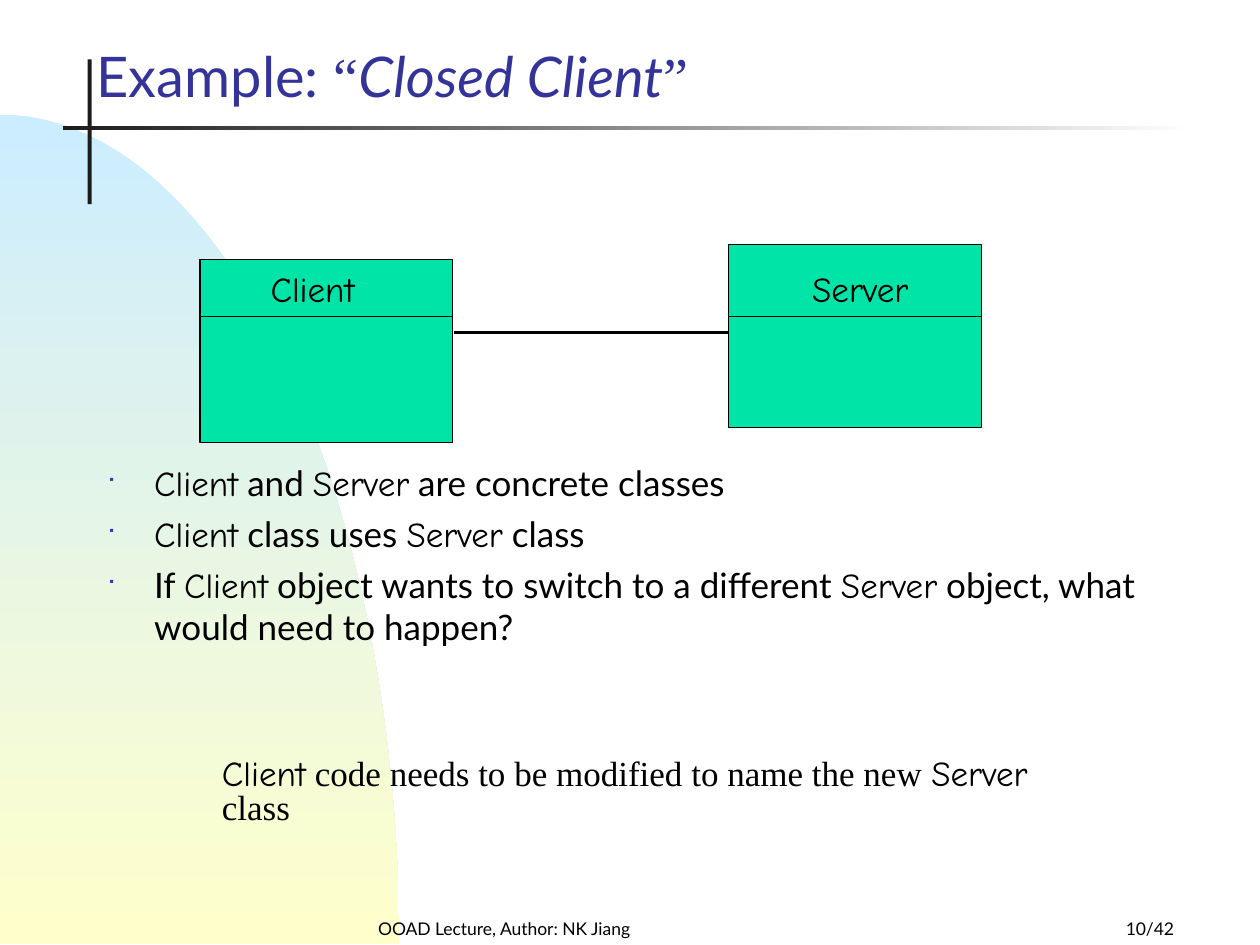
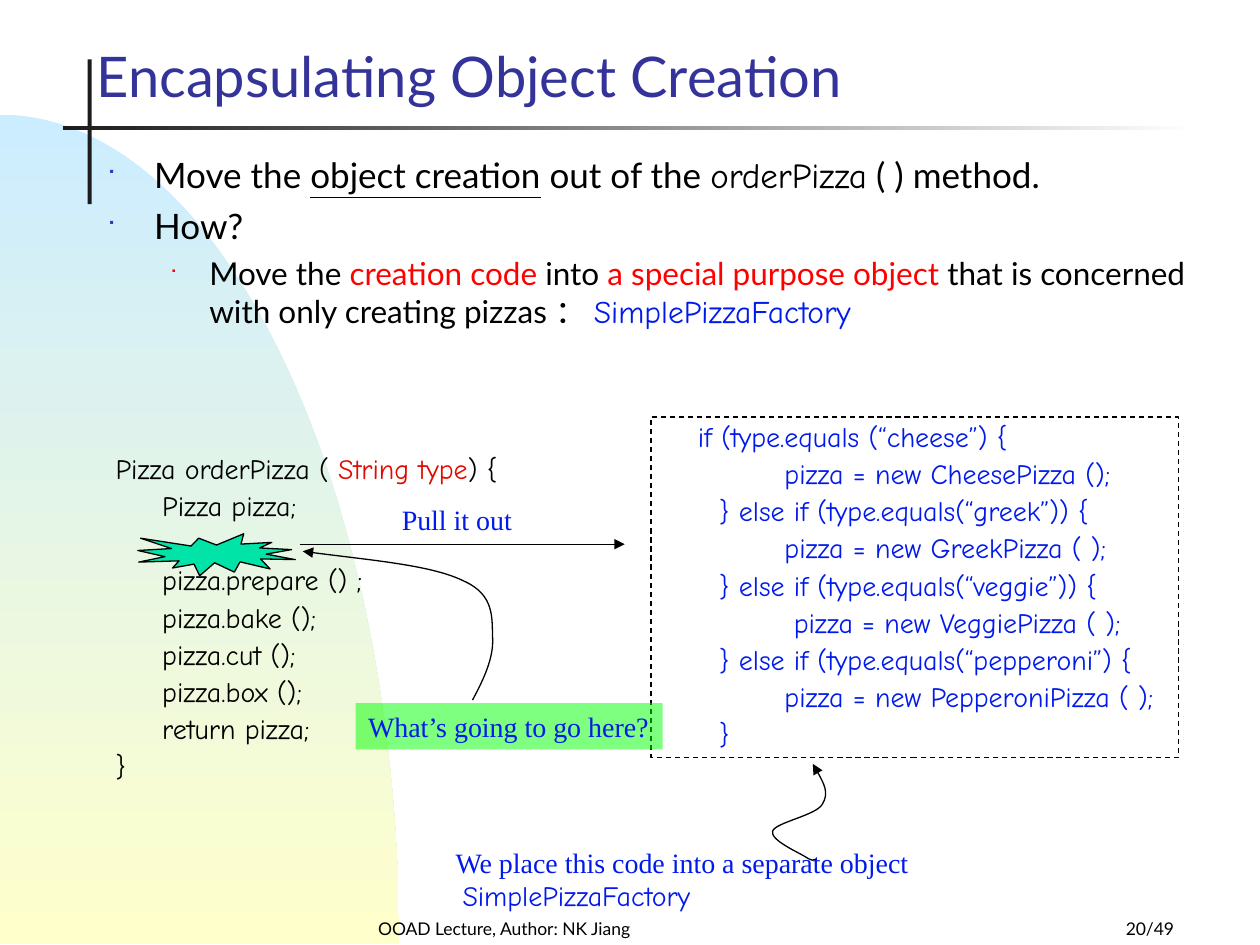
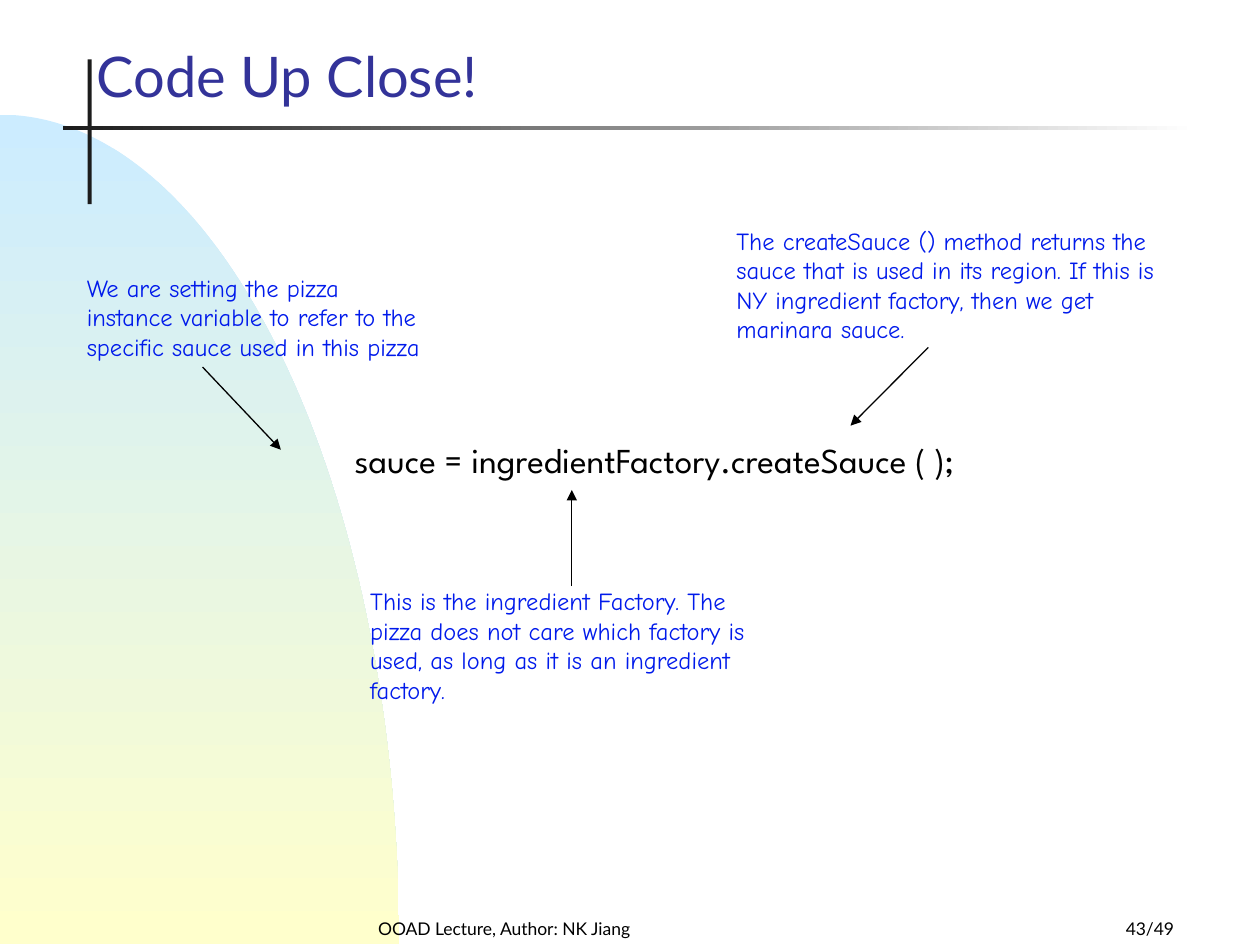
import pptx
import pptx.util
import pptx.dml.color
import pptx.enum.dml
import pptx.enum.shapes
import pptx.enum.text
import pptx.oxml.ns
import lxml.etree

Pt = pptx.util.Pt
RGB = pptx.dml.color.RGBColor
Kind = pptx.enum.shapes.MSO_SHAPE
Align = pptx.enum.text.PP_ALIGN
Anchor = pptx.enum.text.MSO_ANCHOR
Fit = pptx.enum.text.MSO_AUTO_SIZE
qn = pptx.oxml.ns.qn

# Colours
BLACK = RGB(0x00, 0x00, 0x00)
WHITE = RGB(0xFF, 0xFF, 0xFF)
INK = RGB(0x1C, 0x1C, 0x1C)
NAVY = RGB(0x33, 0x33, 0x99)
BLUE = RGB(0x00, 0x1A, 0xEB)
SKY = RGB(0xCC, 0xEC, 0xFF)
CREAM = RGB(0xFF, 0xFF, 0xCC)
MINT = RGB(0x00, 0xE4, 0xA8)
LIME = RGB(0x00, 0xFF, 0x00)
RED = RGB(0xFF, 0x00, 0x00)
BRICK = RGB(0xE0, 0x0B, 0x00)
MARK = RGB(0x33, 0x33, 0xCC)

# Fonts
LATO = "Lato"
COMIC = "Comic Neue"
TIMES = "Times New Roman"
SPARTAN = "League Spartan"

# Bullet levels: indent, hang, space before, colour, size in percent, text size
LEVELS = [(27, 27, 5, MARK, 60, 20), (58.5, 22.5, 4.5, RED, 55, 18)]


def child(node, tag, **attrs):
    return lxml.etree.SubElement(node, qn(tag), **attrs)


def code(name):
    return (name, dict(name=COMIC))


class Deck:
    def __init__(self):
        self.prs = pptx.Presentation()
        self.prs.slide_width = Pt(720)
        self.prs.slide_height = Pt(540)
        self.layout = self.prs.slide_layouts[5]
        self.slide = None

    # Backdrop, drawn once and moved to the layout
    def backdrop(self):
        fan = self.free([(0, 65.5), (126, 65.5), (228, 278), (228, 539.5), (0, 539.5)],
                        1, True)
        self.blend(fan, SKY, CREAM, 270)
        post = self.shape(Kind.RECTANGLE, 50, 34, 2.4, 82.75, INK)
        rule = self.shape(Kind.RECTANGLE, 36, 72, 648, 2.25, INK)
        self.blend(rule, INK, WHITE, 0)
        for spot, item in enumerate((fan, post, rule), 2):
            self.layout.shapes.element.insert(spot, item.element)

    # Slide with title and footers
    def page(self, title, number):
        first = self.slide is None
        self.slide = self.prs.slides.add_slide(self.layout)
        if first:
            self.backdrop()
        for x, w, words, align in [
                (174, 228, "OOAD Lecture, Author: NK Jiang", Align.CENTER),
                (528, 150, number, Align.RIGHT)]:
            self.text(x, 516, w, 24, [words], LATO, 10, align=align,
                      anchor=Anchor.BOTTOM, grow=False)
        head = self.slide.shapes.title
        head.left, head.top, head.width, head.height = Pt(48), Pt(12), Pt(510), Pt(54)
        frame = head.text_frame
        frame.auto_size = Fit.NONE
        frame.vertical_anchor = Anchor.BOTTOM
        para = frame.paragraphs[0]
        para.alignment = Align.LEFT
        self.fill(para, title, LATO, 32, NAVY)

    # Runs of one paragraph; a run is a string or (string, changes)
    def fill(self, para, runs, font, size, color):
        para.font.name = font
        para.font.size = Pt(size)
        para.font.color.rgb = color
        for item in [runs] if isinstance(runs, str) else runs:
            words, change = (item, {}) if isinstance(item, str) else item
            run = para.add_run()
            run.text = words
            for key, value in change.items():
                if key == "color":
                    run.font.color.rgb = value
                else:
                    setattr(run.font, key, value)

    def text(self, x, y, w, h, lines, font, size, color=BLACK, align=Align.LEFT,
             anchor=Anchor.TOP, wrap=True, grow=True, pitch=None, gaps=None):
        box = self.slide.shapes.add_textbox(Pt(x), Pt(y), Pt(w), Pt(h))
        frame = box.text_frame
        frame.word_wrap = wrap
        frame.auto_size = Fit.SHAPE_TO_FIT_TEXT if grow else Fit.NONE
        frame.vertical_anchor = anchor
        for i, runs in enumerate(lines):
            para = frame.add_paragraph() if i else frame.paragraphs[0]
            para.alignment = align
            if pitch:
                para.line_spacing = pitch
            if gaps and i:
                para.space_before = Pt(gaps[i])
            self.fill(para, runs, font, size, color)
        return box

    # Bulleted body: items of (level, runs)
    def bullets(self, y, h, items):
        box = self.slide.shapes.add_textbox(Pt(54), Pt(y), Pt(636), Pt(h))
        frame = box.text_frame
        frame.word_wrap = True
        for i, (level, runs) in enumerate(items):
            left, hang, gap, color, scale, size = LEVELS[level]
            para = frame.add_paragraph() if i else frame.paragraphs[0]
            para.level = level
            props = para._p.get_or_add_pPr()
            props.set("marL", str(Pt(left)))
            props.set("indent", str(-Pt(hang)))
            child(child(props, "a:buClr"), "a:srgbClr", val=str(color))
            child(props, "a:buSzPct", val=str(scale * 1000))
            child(props, "a:buFont", typeface="Wingdings", charset="2")
            child(props, "a:buChar", char="■")
            if i:
                para.space_before = Pt(gap)
            self.fill(para, runs, LATO, size, BLACK)

    def shape(self, kind, x, y, w, h, color, edge=False):
        item = self.slide.shapes.add_shape(kind, Pt(x), Pt(y), Pt(w), Pt(h))
        item.shadow.inherit = False
        item.fill.solid()
        item.fill.fore_color.rgb = color
        if edge:
            self.edge(item)
        else:
            item.line.fill.background()
        return item

    def edge(self, item, width=0.75, arrow=False):
        item.line.color.rgb = BLACK
        item.line.width = Pt(width)
        if arrow:
            child(item.element.spPr.find(qn("a:ln")), "a:tailEnd", type="triangle")

    def blend(self, item, first, last, angle):
        item.fill.gradient()
        item.fill.gradient_angle = angle
        for stop, color in zip(item.fill.gradient_stops, (first, last)):
            stop.color.rgb = color

    # Outline whose first bends, of three points each, are cubic curves
    def free(self, points, bends, close=False):
        spots = [(Pt(x), Pt(y)) for x, y in points]
        pen = self.slide.shapes.build_freeform(*spots[0])
        pen.add_line_segments(spots[1:], close=close)
        item = pen.convert_to_shape()
        item.shadow.inherit = False
        item.line.fill.background()
        legs = list(item.element.spPr.iter(qn("a:lnTo")))
        for n in range(bends):
            trio = legs[3 * n:3 * n + 3]
            bend = lxml.etree.Element(qn("a:cubicBezTo"))
            trio[0].addprevious(bend)
            for leg in trio:
                bend.append(leg[0])
                leg.getparent().remove(leg)
        return item

    def curve(self, points):
        item = self.free(points, len(points) // 3)
        item.fill.background()
        self.edge(item, arrow=True)

    def line(self, x1, y1, x2, y2, width=0.75, arrow=False):
        item = self.slide.shapes.add_connector(
            pptx.enum.shapes.MSO_CONNECTOR.STRAIGHT, Pt(x1), Pt(y1), Pt(x2), Pt(y2))
        self.edge(item, width, arrow)
        child(item.element.spPr, "a:effectLst")


def client(deck):
    quote = dict(name=TIMES)
    deck.page(["Example: ", ("“", quote), ("Closed Client", dict(italic=True)),
               ("”", quote)], "10/42")
    deck.bullets(260.25, 250, [
        (0, [code("Client"), " and ", code("Server"), " are concrete classes"]),
        (0, [code("Client"), " class uses ", code("Server"), " class"]),
        (0, ["If ", code("Client"), " object wants to switch to a different ",
             code("Server"), " object, what would need to happen?"])])
    # Class boxes and their link
    for name, x, y, left, width in [("Client", 114.25, 148.25, 147.5, 62.5),
                                    ("Server", 416.25, 139.75, 457, 70)]:
        deck.shape(Kind.RECTANGLE, x, y, 144.5, 104.5, MINT, True)
        deck.line(x, 181, x + 144.75, 181)
        deck.text(left, 153.75, width, 26.5, [name], COMIC, 20, wrap=False, pitch=0.8)
    deck.line(259.25, 190, 416.75, 190, 1.5)
    # Answer
    deck.text(119.75, 430.75, 517.5, 26.5,
              [[code("Client"), " code needs to be modified to name the new ",
                code("Server"), " class"]], TIMES, 20, pitch=0.8)


def factory(deck):
    red = dict(color=RED)
    deck.page("Encapsulating Object Creation", "20/49")
    deck.bullets(84.25, 426, [
        (0, ["Move the ", ("object creation", dict(underline=True)), " out of the ",
             code("orderPizza"), " ( ) method."]),
        (0, "How?"),
        (1, ["Move the ", ("creation code", red), " into ",
             ("a special purpose object", red),
             " that is concerned with only creating pizzas ： ",
             ("SimplePizzaFactory", dict(name=COMIC, color=BLUE))])])
    # Method with a gap where the code was
    deck.text(59, 256.5, 233.5, 216, [
        ["Pizza orderPizza ( ", ("String type", dict(color=BRICK)), ") {"],
        "     Pizza pizza;",
        "     pizza.prepare () ;",
        "     pizza.bake ();",
        "     pizza.cut ();",
        "     pizza.box ();",
        "     return pizza;",
        "}"], COMIC, 16, wrap=False, pitch=0.9, gaps=[0, 4, 25.3, 4, 4, 4, 4, 4])
    deck.shape(Kind.EXPLOSION1, 78.75, 305, 90, 24, MINT, True)
    # Code that moves out
    box = deck.text(372, 238.25, 301.5, 194.5, [
        [("     ", dict(name=SPARTAN)), "if (type.equals (“cheese”) {"],
        "             pizza = new CheesePizza ();",
        "      } else if (type.equals(“greek”)) {",
        "             pizza = new GreekPizza ( );",
        "      } else if (type.equals(“veggie”)) {",
        "              pizza = new VeggiePizza ( );",
        "      } else if (type.equals(“pepperoni”) {",
        "             pizza = new PepperoniPizza ( );",
        "      }"], COMIC, 16, BLUE, pitch=0.9, gaps=[4] * 9)
    deck.edge(box)
    box.line.dash_style = pptx.enum.dml.MSO_LINE.DASH
    # Remarks and arrows
    deck.line(171.25, 311, 357, 311, arrow=True)
    deck.text(222.5, 283.5, 79, 26.5, ["Pull it out"], TIMES, 16, BLUE, wrap=False)
    deck.text(253.25, 479.5, 274.5, 46,
              ["We place this code into a separate object",
               [" ", code("SimplePizzaFactory")]], TIMES, 16, BLUE, wrap=False)
    note = deck.text(203.25, 401.75, 175.5, 26.5, ["What’s going to go here?"],
                     TIMES, 16, BLUE, wrap=False)
    note.fill.solid()
    note.fill.fore_color.rgb = LIME
    tint = note.element.spPr.find(qn("a:solidFill")).find(qn("a:srgbClr"))
    child(tint, "a:alpha", val="50000")
    deck.curve([(270, 400), (276.5, 388), (282, 376), (281.5, 365),
                (281, 353.5), (283, 340), (265, 332),
                (247, 323), (210, 320), (173, 315)])
    deck.curve([(466.5, 491), (465, 492), (464, 492), (460, 489.5),
                (456, 487), (440, 480), (441.5, 475),
                (443, 470), (466.5, 466), (470, 459.5),
                (474, 453), (469, 444), (464.5, 436.5)])


def closeup(deck):
    deck.page("Code Up Close!", "43/49")
    deck.text(167, 247, 409.5, 31.5, [" sauce = ingredientFactory.createSauce ( );"],
              SPARTAN, 20, align=Align.CENTER, anchor=Anchor.MIDDLE, wrap=False)
    # Remarks, each with its arrow
    notes = [
        ((42.5, 152.5, 206.5, 57.5), (115.75, 209.75, 160.5, 257),
         "We are setting the pizza instance variable to refer to the specific sauce "
         "used in this pizza"),
        ((204.5, 331.25, 246, 75), (326.75, 335, 326.75, 280),
         "This is the ingredient Factory. The pizza does not care which factory is "
         "used, as long as it is an ingredient factory."),
        ((413.75, 125.25, 268, 75), (530.5, 198.5, 486, 243.25),
         "The createSauce () method returns the sauce that is used in its region. "
         "If this is NY ingredient factory, then we get marinara sauce.")]
    for place, arrow, words in notes:
        deck.line(*arrow, arrow=True)
        deck.text(*place, [words], COMIC, 14, BLUE, anchor=Anchor.MIDDLE)


def main():
    deck = Deck()
    client(deck)
    factory(deck)
    closeup(deck)
    deck.prs.save("out.pptx")


if __name__ == "__main__":
    main()
